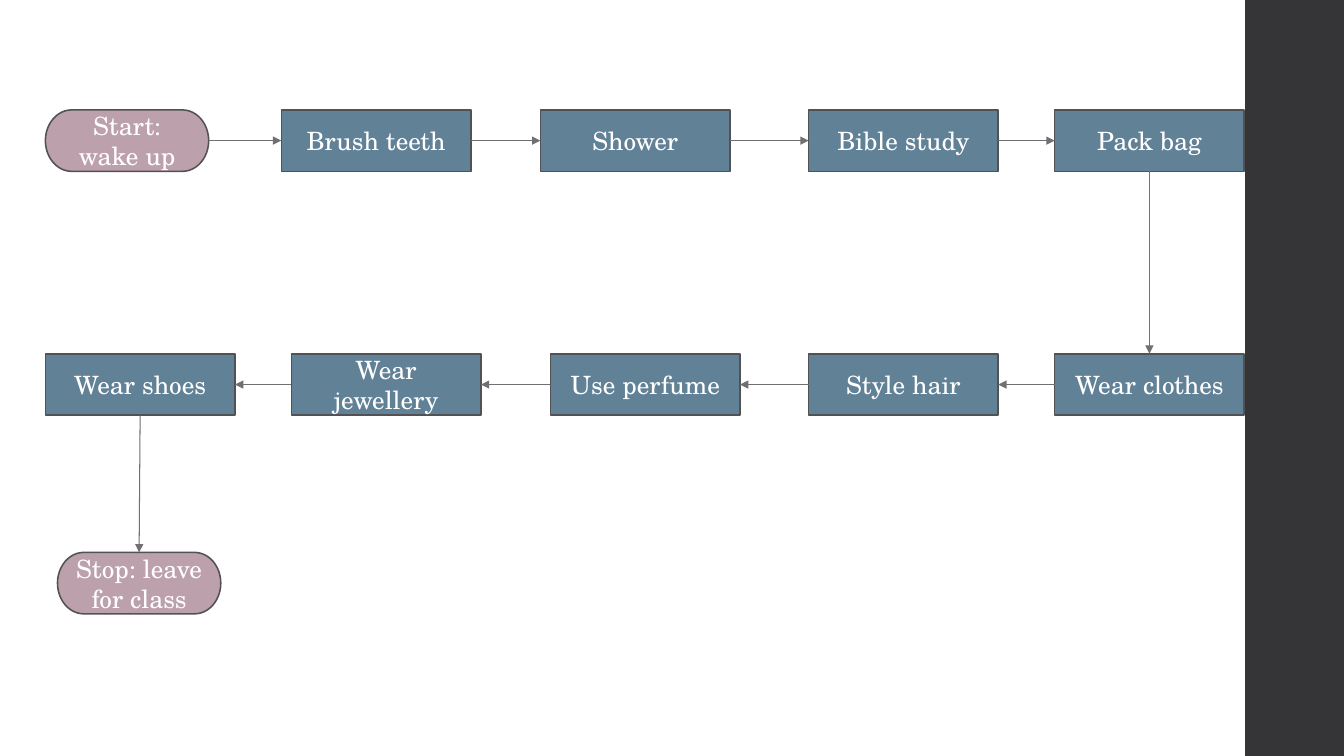
import pptx
import pptx.util
import pptx.dml.color
import pptx.enum.shapes
import pptx.enum.text
import pptx.oxml.ns
import lxml.etree
import itertools

Inches = pptx.util.Inches
Pt = pptx.util.Pt
RGBColor = pptx.dml.color.RGBColor
Shapes = pptx.enum.shapes.MSO_SHAPE
qn = pptx.oxml.ns.qn

WHITE = RGBColor(0xFF, 0xFF, 0xFF)
SIDEBAR = RGBColor(0x35, 0x35, 0x37)
MAUVE = RGBColor(0xBC, 0xA0, 0xAB)
STEEL = RGBColor(0x61, 0x81, 0x97)
OUTLINE = RGBColor(0x52, 0x52, 0x56)
ARROW = RGBColor(0x6F, 0x6F, 0x74)

FONT = {"name": "TeX Gyre Schola", "size": Pt(18)}
STEP_HEIGHT = 0.61
TOP_ROW, MIDDLE_ROW, LAST_ROW = 1.09, 3.51, 5.48

# Preset, fill and width of each kind of step
TERMINATOR = (Shapes.FLOWCHART_TERMINATOR, MAUVE, 1.62)
PROCESS = (Shapes.FLOWCHART_PROCESS, STEEL, 1.88)

# Connection sites of a flowchart shape
TOP, LEFT, BOTTOM, RIGHT = range(4)

# Steps in order of the routine: text, kind, left, top
STEPS = [
    ("Start: wake up", TERMINATOR, 0.45, TOP_ROW),
    ("Brush teeth", PROCESS, 2.79, TOP_ROW),
    ("Shower", PROCESS, 5.36, TOP_ROW),
    ("Bible study", PROCESS, 8.02, TOP_ROW),
    ("Pack bag", PROCESS, 10.46, TOP_ROW),
    ("Wear clothes", PROCESS, 10.46, MIDDLE_ROW),
    ("Style hair", PROCESS, 8.02, MIDDLE_ROW),
    ("Use perfume", PROCESS, 5.46, MIDDLE_ROW),
    ("Wear jewellery", PROCESS, 2.89, MIDDLE_ROW),
    ("Wear shoes", PROCESS, 0.45, MIDDLE_ROW),
    ("Stop: leave for class", TERMINATOR, 0.57, LAST_ROW),
]


def add_box(page, preset, fill, left, top, width, height):
    box = page.shapes.add_shape(
        preset, Inches(left), Inches(top), Inches(width), Inches(height))
    box.shadow.inherit = False
    box.fill.solid()
    box.fill.fore_color.rgb = fill
    return box


def add_step(page, text, kind, left, top):
    preset, fill, width = kind
    box = add_box(page, preset, fill, left, top, width, STEP_HEIGHT)
    box.line.color.rgb = OUTLINE
    box.line.width = Pt(1.1)
    frame = box.text_frame
    frame.word_wrap = True
    frame.vertical_anchor = pptx.enum.text.MSO_ANCHOR.MIDDLE
    para = frame.paragraphs[0]
    para.alignment = pptx.enum.text.PP_ALIGN.CENTER
    span = para.add_run()
    span.text = text
    for attribute, value in FONT.items():
        setattr(span.font, attribute, value)
    span.font.color.rgb = WHITE
    return box


def facing_sites(source, target):
    """Sites where the arrow leaves one step and enters the next."""
    if source.top != target.top:
        return BOTTOM, TOP
    return (RIGHT, LEFT) if source.left < target.left else (LEFT, RIGHT)


def add_arrow(page, source, target):
    leave, enter = facing_sites(source, target)
    arrow = page.shapes.add_connector(
        pptx.enum.shapes.MSO_CONNECTOR.STRAIGHT, 0, 0, 0, 0)
    arrow.begin_connect(source, leave)
    arrow.end_connect(target, enter)
    arrow.line.color.rgb = ARROW
    arrow.line.width = Pt(0.75)
    outline = arrow.line._get_or_add_ln()
    lxml.etree.SubElement(outline, qn("a:tailEnd"), type="triangle")
    lxml.etree.SubElement(arrow._element.spPr, qn("a:effectLst"))


def main():
    deck = pptx.Presentation()
    deck.slide_width = Inches(13.33)
    deck.slide_height = Inches(7.5)
    page = deck.slides.add_slide(deck.slide_layouts[6])

    # Dark band at the right edge
    band = add_box(page, Shapes.RECTANGLE, SIDEBAR, 12.35, 0, 0.98, 7.5)
    band.line.fill.background()

    # Flowchart steps, each joined to the next
    boxes = [add_step(page, *step) for step in STEPS]
    for source, target in itertools.pairwise(boxes):
        add_arrow(page, source, target)

    deck.save("out.pptx")


if __name__ == "__main__":
    main()
